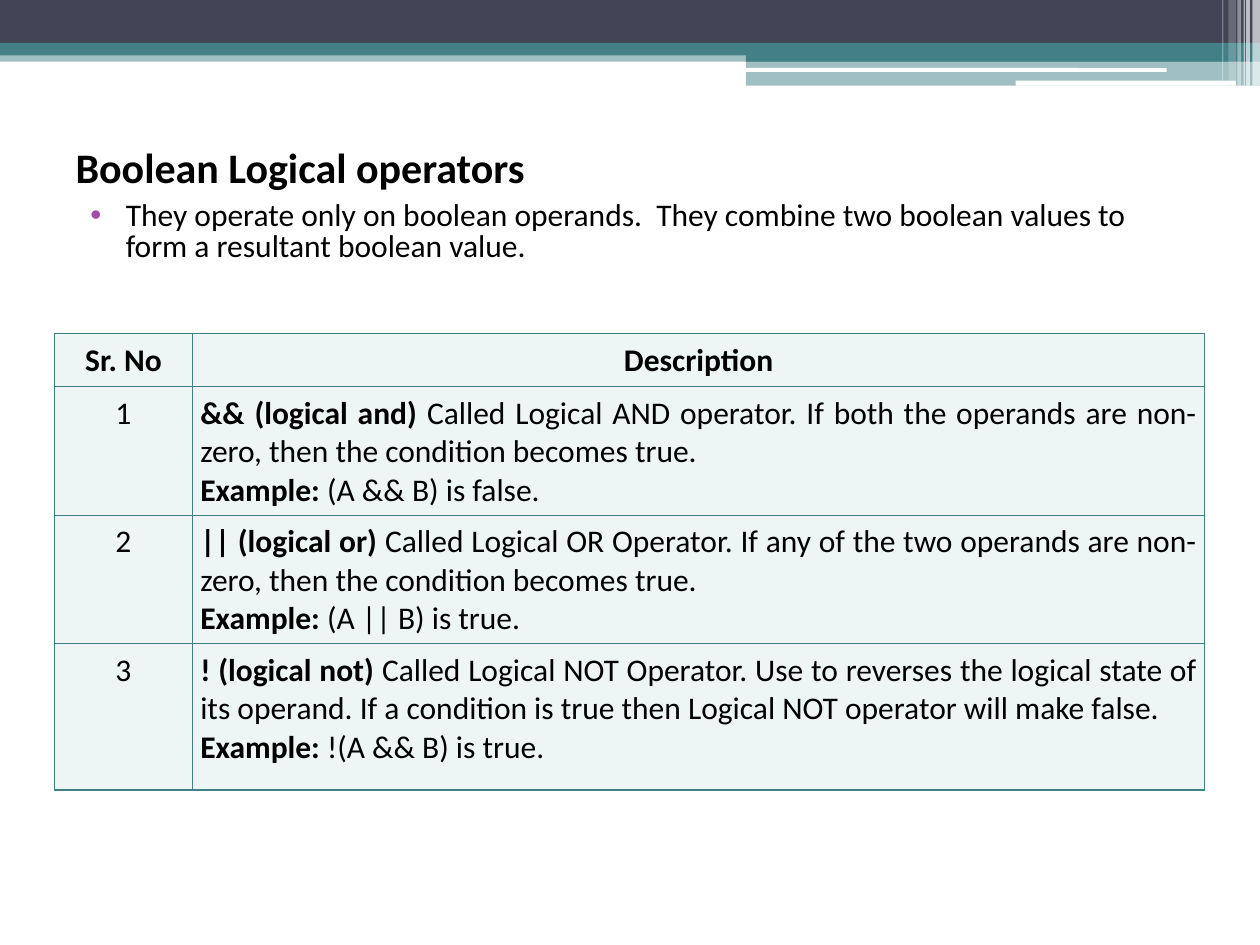
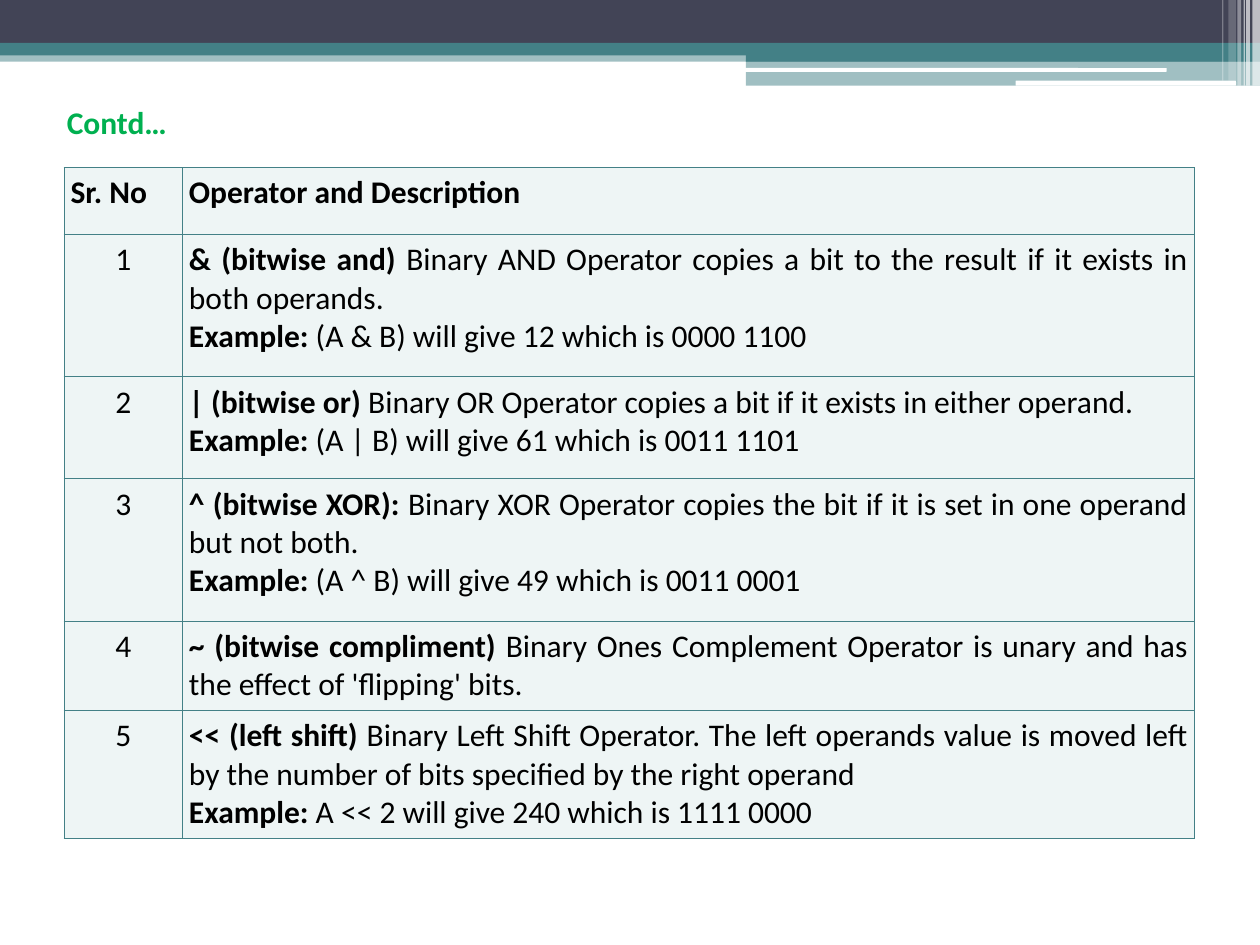
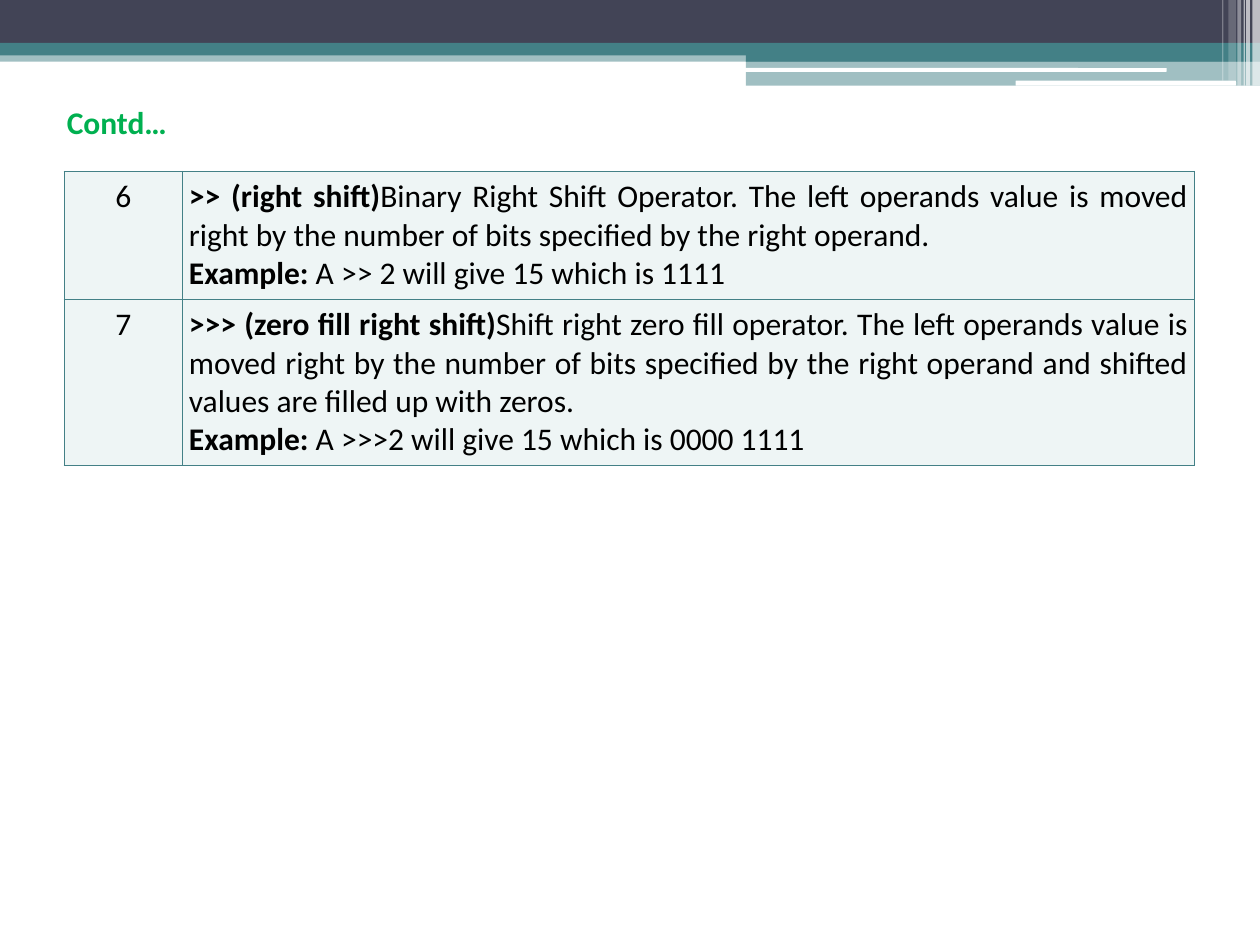
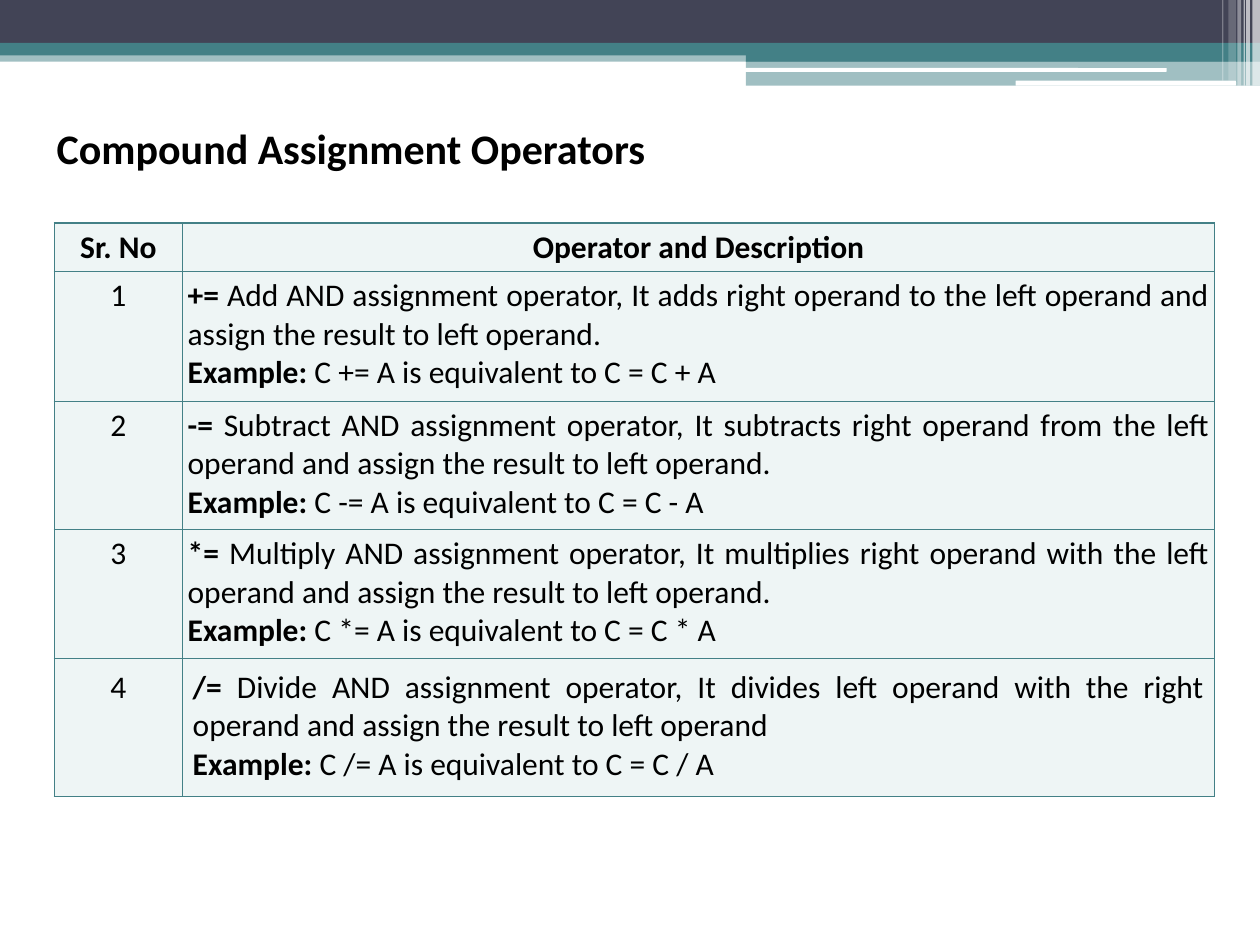
from lxml import etree
from pptx import Presentation
from pptx import util as u
from pptx.dml.color import RGBColor
from pptx.enum import shapes, text
from pptx.oxml import ns

COLORS = {
    "navy": "424456",
    "teal": "438086",
    "white": "FFFFFF",
    "black": "000000",
    "green": "00B050",
    "purple": "A04DA3",
    "cell": "EEF5F5",
}
FONT = "Calibri"
RECT = shapes.MSO_SHAPE.RECTANGLE
ROUND = shapes.MSO_SHAPE.ROUNDED_RECTANGLE
LEFT, CENTER, JUSTIFY = (
    text.PP_ALIGN.LEFT, text.PP_ALIGN.CENTER, text.PP_ALIGN.JUSTIFY)
TOP, MIDDLE = text.MSO_ANCHOR.TOP, text.MSO_ANCHOR.MIDDLE

BANDS = [
    (RECT, (0, 0.4, 10, 0.09), "teal", 50),
    (RECT, (0, 0, 10, 0.34), "navy", 100),
    (RECT, (0, 0.34, 10, 0.1), "teal", 100),
    (RECT, (5.92, 0.39, 4.08, 0.1), "teal", 100),
    (RECT, (5.92, 0.48, 4.08, 0.2), "teal", 50),
    (ROUND, (5.91, 0.54, 3.35, 0.03), "white", 100),
    (ROUND, (8.06, 0.64, 1.75, 0.04), "white", 100),
    (RECT, (9.94, 0, 0.06, 0.68), "white", 65),
    (RECT, (9.89, 0, 0.03, 0.68), "white", 65),
    (RECT, (9.87, 0, 0.01, 0.68), "white", 60),
    (RECT, (9.82, 0, 0.03, 0.68), "white", 40),
    (RECT, (9.75, 0, 0.06, 0.64), "white", 20),
    (RECT, (9.7, 0, 0.01, 0.64), "white", 30),
]


def inches(values):
    return [u.Inches(value) for value in values]


def child(parent, tag, **attributes):
    return etree.SubElement(parent, ns.qn(tag), attributes)


class Lesson:
    def __init__(self):
        self.deck = Presentation()
        self.deck.slide_width = u.Inches(10)
        self.deck.slide_height = u.Inches(7.5)
        self.page = None

    def add_page(self):
        self.page = self.deck.slides.add_slide(self.deck.slide_layouts[5])

    def add_master_bands(self):
        tree = self.deck.slide_master.shapes.element
        for index, (kind, place, color, opacity) in enumerate(BANDS):
            band = self.page.shapes.add_shape(kind, *inches(place))
            band.shadow.inherit = False
            band.line.fill.background()
            band.fill.solid()
            band.fill.fore_color.rgb = RGBColor.from_string(COLORS[color])
            if opacity < 100:
                tint = band.element.spPr.find(".//" + ns.qn("a:srgbClr"))
                child(tint, "a:alpha", val=str(opacity * 1000))
            name = band.element.find(".//" + ns.qn("p:cNvPr"))
            name.set("id", str(100 + index))
            tree.insert(2 + index, band.element)

    def style(self, para, size=18, color="black", align=LEFT):
        para.alignment = align
        para.font.name = FONT
        para.font.size = u.Pt(size)
        para.font.color.rgb = RGBColor.from_string(COLORS[color])

    def add_title(self, words, place, size=24, color="black", anchor=TOP,
                  spacing=1.0):
        box = self.page.shapes.title
        box.left, box.top, box.width, box.height = inches(place)
        frame = box.text_frame
        frame.auto_size = text.MSO_AUTO_SIZE.NONE
        frame.word_wrap = True
        frame.vertical_anchor = anchor
        frame.text = words
        para = frame.paragraphs[0]
        para.line_spacing = spacing
        self.style(para, size, color)
        para.font.bold = True

    def add_continued(self):
        self.add_title("Contd…", (0.43, 0.68, 1.73, 0.57), 18, "green", MIDDLE)

    def add_bullet(self, words, place):
        frame = self.page.shapes.add_textbox(*inches(place)).text_frame
        frame.word_wrap = True
        para = frame.paragraphs[0]
        para.text = words
        para.line_spacing = 0.8
        props = para._p.get_or_add_pPr()
        props.set("marL", str(u.Inches(0.4)))
        props.set("indent", str(u.Inches(-0.28)))
        tint = child(props, "a:buClr")
        child(tint, "a:srgbClr", val=COLORS["purple"])
        child(props, "a:buFont", typeface="Arial")
        child(props, "a:buChar", char="•")
        self.style(para)

    def fill_cell(self, cell, paras, inset):
        cell.margin_left = cell.margin_right = u.Inches(inset)
        cell.margin_top = cell.margin_bottom = u.Inches(inset)
        cell.fill.solid()
        cell.fill.fore_color.rgb = RGBColor.from_string(COLORS["cell"])
        props = cell._tc.get_or_add_tcPr()
        for index, side in enumerate(("a:lnL", "a:lnR", "a:lnT", "a:lnB")):
            line = etree.Element(ns.qn(side), w=str(u.Pt(0.75)))
            child(child(line, "a:solidFill"), "a:srgbClr", val=COLORS["teal"])
            props.insert(index, line)
        frame = cell.text_frame
        for index, (align, spans) in enumerate(paras):
            para = frame.add_paragraph() if index else frame.paragraphs[0]
            self.style(para, align=align)
            for words, bold in spans:
                span = para.add_run()
                span.text = words
                span.font.bold = bold

    def add_operators(self, place, widths, heights, inset, operators,
                      header=None, header_align=CENTER, last_inset=None):
        rows = []
        if header:
            rows.append([[(header_align, [(words, True)])] for words in header])
        for number, symbol, description, example in operators:
            details = [(JUSTIFY, [(symbol, True), (description, False)])]
            if example:
                details.append(
                    (LEFT, [("Example:", True), ("\u00a0" + example, False)]))
            rows.append([[(CENTER, [(number, False)])], details])

        holder = self.page.shapes.add_table(len(rows), 2, *inches(place))
        table = holder.table
        table.first_row = table.horz_banding = False
        for column, width in zip(table.columns, widths):
            column.width = u.Inches(width)
        for row, height in zip(table.rows, heights):
            row.height = u.Inches(height)
        holder.height = u.Inches(place[3])
        for index, row in enumerate(rows):
            is_last = index == len(rows) - 1
            margin = last_inset if is_last and last_inset else inset
            for column, paras in enumerate(row):
                self.fill_cell(table.cell(index, column), paras, margin)


lesson = Lesson()

lesson.add_page()
lesson.add_master_bands()
lesson.add_title("Boolean Logical operators", (0.5, 1.15, 9, 0.41), spacing=0.8)
lesson.add_bullet(
    "They operate only on boolean operands.  They combine two boolean values "
    "to form a resultant boolean value.", (0.5, 1.56, 9, 1.09))
lesson.add_operators(
    (0.43, 2.65, 9.13, 3.63), (1.1, 8.03), (0.32, 1.01, 1.01, 1.16), 0.06,
    [
        ("1", "&& (logical and) ",
         "Called Logical AND operator. If both the operands are non-zero, "
         "then the condition becomes true.", "(A && B) is false."),
        ("2", "|| (logical or) ",
         "Called Logical OR Operator. If any of the two operands are non-zero, "
         "then the condition becomes true.", "(A || B) is true."),
        ("3", "! (logical not) ",
         "Called Logical NOT Operator. Use to reverses the logical state of "
         "its operand. If a condition is true then Logical NOT operator will "
         "make false.", "!(A && B) is true."),
    ],
    header=("Sr. No", "Description"))

lesson.add_page()
lesson.add_continued()
lesson.add_operators(
    (0.51, 1.33, 8.98, 5.32), (0.94, 8.03),
    (0.53, 1.13, 0.81, 1.13, 0.7, 0.7), 0.05,
    [
        ("1", "& (bitwise and) ",
         "Binary AND Operator copies a bit to the result if it exists in both "
         "operands.", "(A & B) will give 12 which is 0000 1100"),
        ("2", "| (bitwise or) ",
         "Binary OR Operator copies a bit if it exists in either operand.",
         "(A | B) will give 61 which is 0011 1101"),
        ("3", "^ (bitwise XOR): ",
         "Binary XOR Operator copies the bit if it is set in one operand but "
         "not both.", "(A ^ B) will give 49 which is 0011 0001"),
        ("4", "~ (bitwise compliment) ",
         "Binary Ones Complement Operator is unary and has the effect of "
         "'flipping' bits.", None),
        ("5", "<< (left shift) ",
         "Binary Left Shift Operator. The left operands value is moved left "
         "by the number of bits specified by the right operand",
         "A << 2 will give 240 which is 1111 0000"),
    ],
    header=("Sr. No", "Operator and Description"), header_align=LEFT)

lesson.add_page()
lesson.add_continued()
lesson.add_operators(
    (0.51, 1.36, 8.98, 2.31), (0.94, 8.03), (0.7, 0.7), 0.05,
    [
        ("6", ">> (right shift)",
         "Binary Right Shift Operator. The left operands value is moved right "
         "by the number of bits specified by the right operand.",
         "A >> 2 will give 15 which is 1111"),
        ("7", ">>> (zero fill right shift)",
         "Shift right zero fill operator. The left operands value is moved "
         "right by the number of bits specified by the right operand and "
         "shifted values are filled up with zeros.",
         "A >>>2 will give 15 which is 0000 1111"),
    ])

lesson.add_page()
lesson.add_title("Compound Assignment Operators", (0.35, 0.92, 5.75, 0.63))
lesson.add_operators(
    (0.43, 1.77, 9.21, 4.57), (1.02, 8.19),
    (0.25, 1.03, 1.02, 1.02, 1.1), 0.04,
    [
        ("1", "+= ",
         "Add AND assignment operator, It adds right operand to the left "
         "operand and assign the result to left operand.",
         "C += A is equivalent to C = C + A"),
        ("2", "-= ",
         "Subtract AND assignment operator, It subtracts right operand from "
         "the left operand and assign the result to left operand.",
         "C -= A is equivalent to C = C - A"),
        ("3", "*= ",
         "Multiply AND assignment operator, It multiplies right operand with "
         "the left operand and assign the result to left operand.",
         "C *= A is equivalent to C = C * A"),
        ("4", "/= ",
         "Divide AND assignment operator, It divides left operand with the "
         "right operand and assign the result to left operand",
         "C /= A is equivalent to C = C / A"),
    ],
    header=("Sr. No", "Operator and Description"), last_inset=0.08)

lesson.deck.save("out.pptx")
